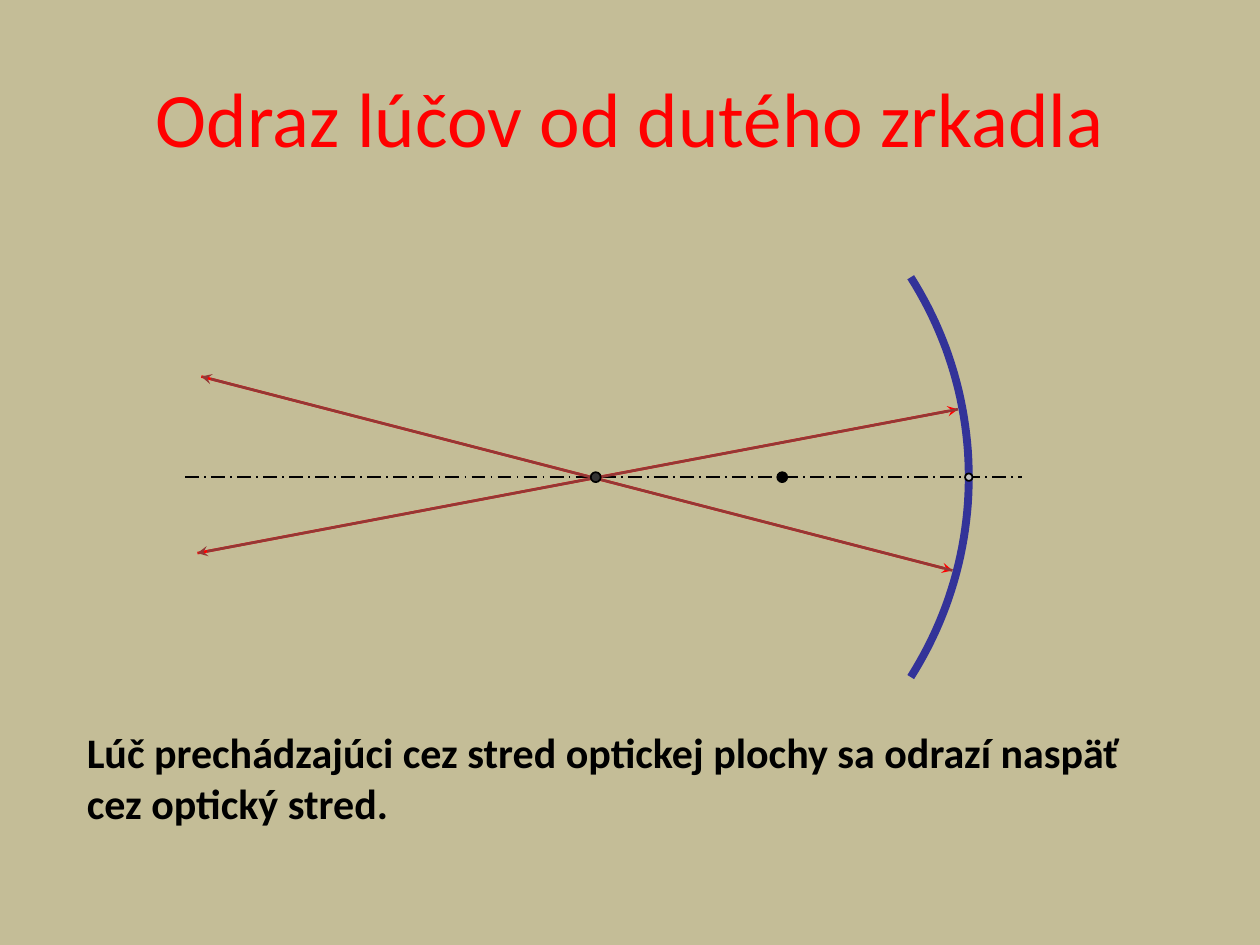
import math
from dataclasses import dataclass

from lxml import etree
from pptx import Presentation
from pptx.dml.color import RGBColor
from pptx.enum import dml, shapes, text
from pptx.oxml import ns
from pptx.util import Cm, Pt


@dataclass(frozen=True)
class Theme:
    font: str = "Calibri"
    title_size: int = 44
    caption_size: int = 24
    background: str = "C4BD97"
    red: str = "FF0000"
    dark_red: str = "953735"
    black: str = "000000"
    charcoal: str = "333333"
    silver: str = "C0C0C0"
    mirror: str = "333399"
    thin: float = 1
    ray: float = 1.5
    thick: float = 4.5


THEME = Theme()


def rgb(value):
    return RGBColor.from_string(value)


def add_text(slide, content, box, size, color=THEME.black, bold=False,
             align=text.PP_ALIGN.LEFT, anchor=text.MSO_ANCHOR.TOP):
    frame = slide.shapes.add_textbox(*map(Cm, box)).text_frame
    frame.word_wrap = True
    frame.vertical_anchor = anchor
    paragraph = frame.paragraphs[0]
    paragraph.text = content
    paragraph.alignment = align
    font = paragraph.runs[0].font
    font.name, font.size, font.bold = THEME.font, Pt(size), bold
    font.color.rgb = rgb(color)


def style_line(line, color, width):
    line.color.rgb = rgb(color)
    line.width = Pt(width)


def add_line(slide, start, end, color, width, dash=None, arrow=None):
    """Draw a line; arrow is "headEnd" (at start) or "tailEnd" (at end)."""
    connector = slide.shapes.add_connector(
        shapes.MSO_CONNECTOR.STRAIGHT, *map(Cm, (*start, *end)))
    style_line(connector.line, color, width)
    if dash:
        connector.line.dash_style = dash
    properties = connector._element.spPr
    if arrow:
        outline = properties.find(ns.qn("a:ln"))
        etree.SubElement(outline, ns.qn(f"a:{arrow}"), type="stealth")
    etree.SubElement(properties, ns.qn("a:effectLst"))


def add_point(slide, x, y, diameter, color):
    point = slide.shapes.add_shape(
        shapes.MSO_SHAPE.OVAL, Cm(x - diameter / 2), Cm(y - diameter / 2),
        Cm(diameter), Cm(diameter))
    point.shadow.inherit = False
    point.fill.solid()
    point.fill.fore_color.rgb = rgb(color)
    style_line(point.line, THEME.black, THEME.thin)


def add_mirror(slide, x, y, radius, half_height, steps=48):
    """Draw the arc of a circle centred on x, y, symmetric about the axis."""
    limit = math.asin(half_height / radius)
    angles = [limit * (2 * step / steps - 1) for step in range(steps + 1)]
    points = [(Cm(x + radius * math.cos(angle)), Cm(y + radius * math.sin(angle)))
              for angle in angles]
    builder = slide.shapes.build_freeform(*points[0])
    builder.add_line_segments(points[1:], close=False)
    mirror = builder.convert_to_shape()
    mirror.shadow.inherit = False
    mirror.fill.background()
    style_line(mirror.line, THEME.mirror, THEME.thick)


def add_ray_diagram(slide, box):
    left, top, width, height = box
    radius = 7.52
    center_x, axis_y = left + 8.28, top + height / 2
    # Ray ends as offsets from the centre of curvature: outer end, mirror end
    rays = [((-7.95, -2.03), (7.19, 1.88)), ((-8.03, 1.53), (7.3, -1.37))]

    def add_rays(color, arrow):
        for ray in rays:
            start, end = [(center_x + dx, axis_y + dy) for dx, dy in ray]
            add_line(slide, start, end, color, THEME.ray, arrow=arrow)

    add_rays(THEME.red, "tailEnd")
    add_line(slide, (left, axis_y), (left + width, axis_y), THEME.black,
             THEME.thin, dash=dml.MSO_LINE.LONG_DASH_DOT)
    add_mirror(slide, center_x, axis_y, radius, height / 2)
    add_point(slide, center_x + radius, axis_y, 0.15, THEME.silver)
    add_rays(THEME.dark_red, "headEnd")
    add_point(slide, center_x + radius / 2, axis_y, 0.2, THEME.black)
    add_point(slide, center_x, axis_y, 0.2, THEME.charcoal)


def main():
    presentation = Presentation()
    presentation.slide_width, presentation.slide_height = Cm(25.4), Cm(19.05)
    slide = presentation.slides.add_slide(presentation.slide_layouts[6])
    slide.background.fill.solid()
    slide.background.fill.fore_color.rgb = rgb(THEME.background)

    add_text(slide, "Odraz lúčov od dutého zrkadla", (1.27, 0.76, 22.86, 3.18),
             THEME.title_size, THEME.red, align=text.PP_ALIGN.CENTER,
             anchor=text.MSO_ANCHOR.MIDDLE)
    add_ray_diagram(slide, (3.73, 5.59, 16.87, 8.06))
    add_text(slide, "Lúč prechádzajúci cez stred optickej plochy sa odrazí "
             "naspäť cez optický stred.", (1.5, 14.53, 21.59, 2.31),
             THEME.caption_size, bold=True)
    presentation.save("out.pptx")


if __name__ == "__main__":
    main()
